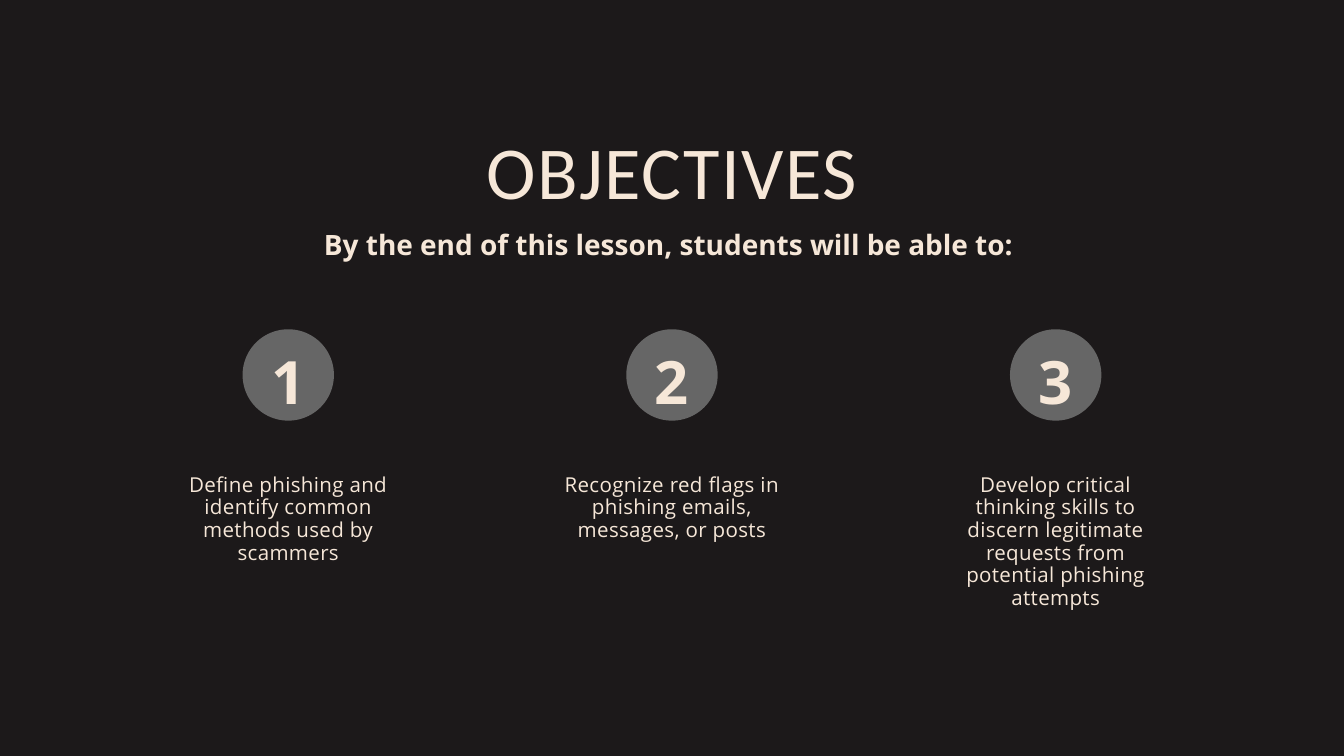
import pptx
import pptx.util
import pptx.dml.color
import pptx.enum.shapes
import pptx.enum.text

Inches = pptx.util.Inches
Pt = pptx.util.Pt

COLORS = {"background": "1C191A", "text": "F6E7D8", "badge": "666666"}
OBJECTIVES = [
    ("Define phishing and identify common methods used by scammers", 1.34),
    ("Recognize red flags in phishing emails, messages, or posts", 1.01),
    ("Develop critical thinking skills to discern legitimate requests "
     "from potential phishing attempts", 2.01),
]
CENTER = 10
COLUMN_PITCH = 5.71
BADGE_SIZE = 1.36
OBJECTIVE_WIDTH = 3.27


class ObjectivesSlide:
    heading_font = "Calibri"
    body_font = "Open Sans"

    def __init__(self, deck):
        self.page = deck.slides.add_slide(deck.slide_layouts[0])
        self.paint(self.page.background.fill, "background")

    def paint(self, fill, color):
        fill.solid()
        fill.fore_color.rgb = pptx.dml.color.RGBColor.from_string(COLORS[color])

    def set_text(self, box, text, font, size, line, spacing=0, bold=False):
        frame = box.text_frame
        frame.text = text
        frame.word_wrap = True
        frame.auto_size = pptx.enum.text.MSO_AUTO_SIZE.NONE
        frame.vertical_anchor = pptx.enum.text.MSO_ANCHOR.TOP
        frame.margin_left = frame.margin_right = 0
        frame.margin_top = frame.margin_bottom = 0
        para = frame.paragraphs[0]
        para.alignment = pptx.enum.text.PP_ALIGN.CENTER
        para.line_spacing = Pt(line)
        para.space_before = Pt(0)
        span = para.runs[0]
        span.font.name = font
        span.font.size = Pt(size)
        span.font.bold = bold
        self.paint(span.font.fill, "text")
        span._r.get_or_add_rPr().set("spc", str(round(spacing * 100)))

    def place(self, box, left, top, width, height):
        box.left, box.top = Inches(left), Inches(top)
        box.width, box.height = Inches(width), Inches(height)

    def title(self, text):
        box = self.page.shapes.title
        self.place(box, 4.06, 1.85, 11.88, 1.35)
        self.set_text(box, text, self.heading_font, 80, 96, spacing=1.6)

    def subtitle(self, text):
        box = self.page.placeholders[1]
        self.place(box, 4.69, 3.3, 10.63, 0.56)
        self.set_text(box, text, self.body_font, 30, 42, bold=True)

    def badge(self, number, center):
        group = self.page.shapes.add_group_shape()
        left, size = Inches(center - BADGE_SIZE / 2), Inches(BADGE_SIZE)
        circle = group.shapes.add_shape(
            pptx.enum.shapes.MSO_SHAPE.OVAL, left, Inches(4.9), size, size)
        circle.shadow.inherit = False
        circle.line.fill.background()
        self.paint(circle.fill, "badge")
        box = group.shapes.add_textbox(left, Inches(4.8), size, Inches(1.31))
        self.set_text(box, str(number), self.body_font, 64, 100.5, spacing=3.2, bold=True)

    def objective(self, text, center, height):
        box = self.page.shapes.add_textbox(
            Inches(center - OBJECTIVE_WIDTH / 2), Inches(7.05),
            Inches(OBJECTIVE_WIDTH), Inches(height))
        self.set_text(box, text, self.body_font, 22, 24.2, spacing=0.4)


def main():
    deck = pptx.Presentation()
    deck.slide_width = Inches(20)
    deck.slide_height = Inches(11.25)
    slide = ObjectivesSlide(deck)
    slide.title("OBJECTIVES")
    slide.subtitle("By the end of this lesson, students will be able to: ")
    for number, (text, height) in enumerate(OBJECTIVES, start=1):
        center = CENTER + (number - 2) * COLUMN_PITCH
        slide.badge(number, center)
        slide.objective(text, center, height)
    deck.save("out.pptx")


if __name__ == "__main__":
    main()
